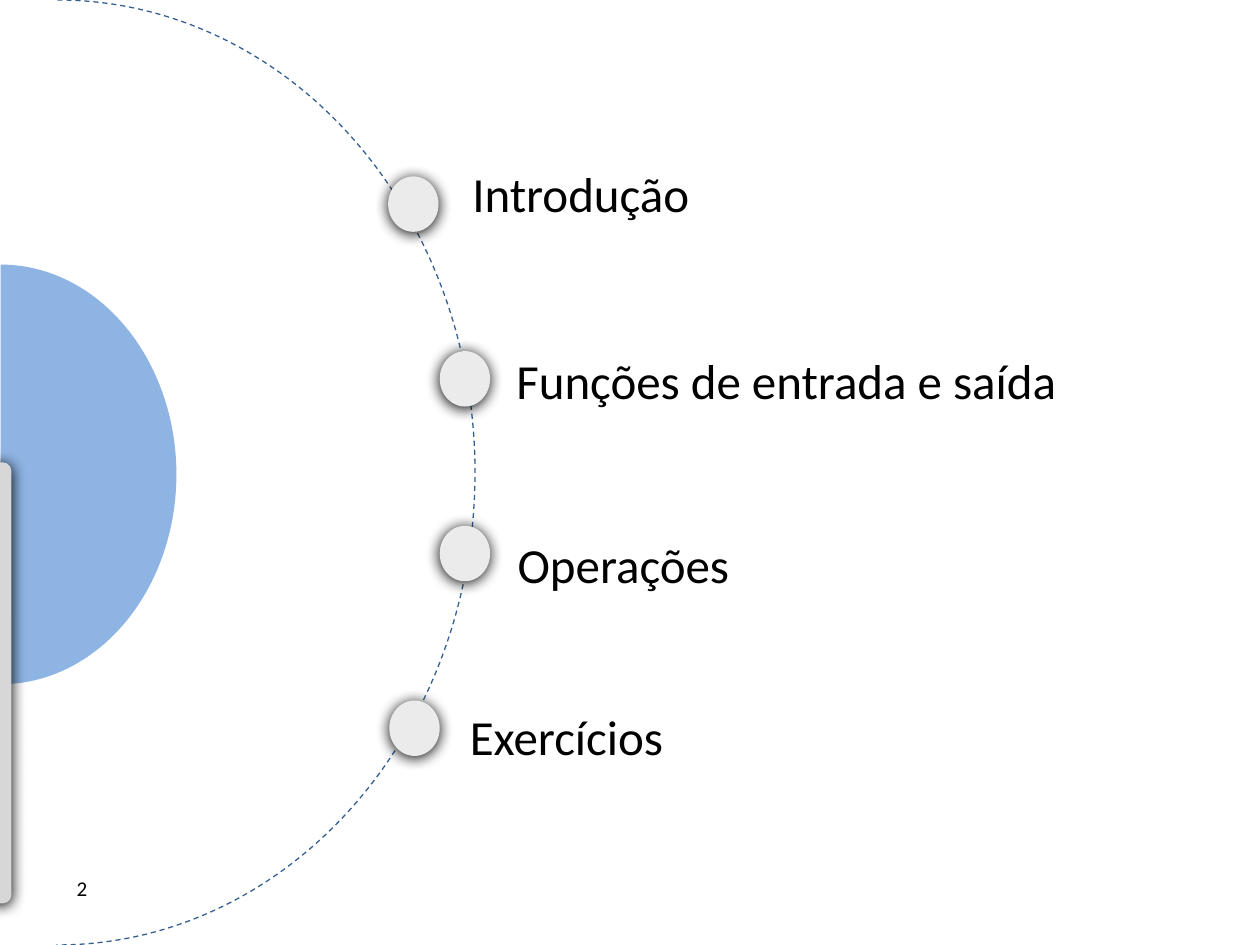
from lxml import etree
from pptx import Presentation
from pptx.dml.color import RGBColor
from pptx.enum.dml import MSO_LINE
from pptx.enum.shapes import MSO_SHAPE
from pptx.enum.text import MSO_ANCHOR
from pptx.oxml.ns import qn
from pptx.util import Pt

ARC, OVAL, ROUND_RECT = MSO_SHAPE.ARC, MSO_SHAPE.OVAL, MSO_SHAPE.ROUNDED_RECTANGLE
DASH = MSO_LINE.DASH
TOP, MIDDLE = MSO_ANCHOR.TOP, MSO_ANCHOR.MIDDLE

BLACK = RGBColor(0x00, 0x00, 0x00)
NAVY = RGBColor(0x37, 0x60, 0x92)
BLUE = RGBColor(0x8E, 0xB4, 0xE3)
DOT_GRAY = RGBColor(0xEB, 0xEB, 0xEB)
BAR_GRAY = RGBColor(0xD7, 0xD7, 0xD7)
FONT = "Calibri"

# Topic, text left, text top, dot left
TOPICS = [
    ("Introdução", 262.8, 89.8, 221.8),
    ("Funções de entrada e saída", 288, 196.6, 251.3),
    ("Operações", 288.7, 301.7, 251.3),
    ("Exercícios", 261.4, 400.3, 222.5),
]
DOT_TOP, DOT_PITCH = 100.8, 99.84
DOT_W, DOT_H = 28.8, 31.7


def add_shape(s, kind, x, y, w, h, fill=None):
    sp = s.shapes.add_shape(kind, Pt(x), Pt(y), Pt(w), Pt(h))
    sp.shadow.inherit = False
    sp.line.fill.background()
    if fill is None:
        sp.fill.background()
    else:
        sp.fill.solid()
        sp.fill.fore_color.rgb = fill
    return sp


def add_arc(s, x, y, w, h, end, fill=None):
    """Arc from the top (162) clockwise to end, in units of 100000/60000 degree."""
    sp = add_shape(s, ARC, x, y, w, h, fill)
    sp.adjustments[0] = 162
    sp.adjustments[1] = end
    return sp


def add_shadow(sp):
    effects = sp._element.spPr.find(qn("a:effectLst"))
    shadow = etree.SubElement(
        effects, qn("a:outerShdw"), blurRad=str(Pt(8.5)), dist=str(Pt(1)),
        dir="5400000", algn="ctr", rotWithShape="0")
    etree.SubElement(shadow, qn("a:srgbClr"), val=str(BLACK))


def add_text(s, text, x, y, w, h, size, anchor):
    tf = s.shapes.add_textbox(Pt(x), Pt(y), Pt(w), Pt(h)).text_frame
    tf.word_wrap = True
    tf.vertical_anchor = anchor
    tf.text = text
    font = tf.paragraphs[0].runs[0].font
    font.name = FONT
    font.size = Pt(size)
    font.color.rgb = BLACK


def main():
    prs = Presentation()
    prs.slide_width, prs.slide_height = Pt(720), Pt(540)
    s = prs.slides.add_slide(prs.slide_layouts[6])

    # Slide number
    add_text(s, "2", 36.7, 496.8, 167.8, 28.8, 12, TOP)

    # Dashed guide arc
    guide = add_arc(s, -205.9, 0, 477.4, 540, 54.07)
    guide.line.color.rgb = NAVY
    guide.line.width = Pt(0.75)
    guide.line.dash_style = DASH

    # Topics with their dots
    for i, (topic, x, y, dot_x) in enumerate(TOPICS):
        add_text(s, topic, x, y, 432, 41, 28, MIDDLE)
        dot_y = DOT_TOP + i * DOT_PITCH
        add_shadow(add_shape(s, OVAL, dot_x, dot_y, DOT_W, DOT_H, DOT_GRAY))

    # Half disc and bar at the left edge
    add_arc(s, -100.1, 151.2, 200.9, 239.8, 53.6, BLUE)
    bar = add_shape(s, ROUND_RECT, -7.2, 264.2, 13.7, 252, BAR_GRAY)
    bar.adjustments[0] = 0.35
    bar.rotation = 180
    add_shadow(bar)

    prs.save("out.pptx")


if __name__ == "__main__":
    main()
